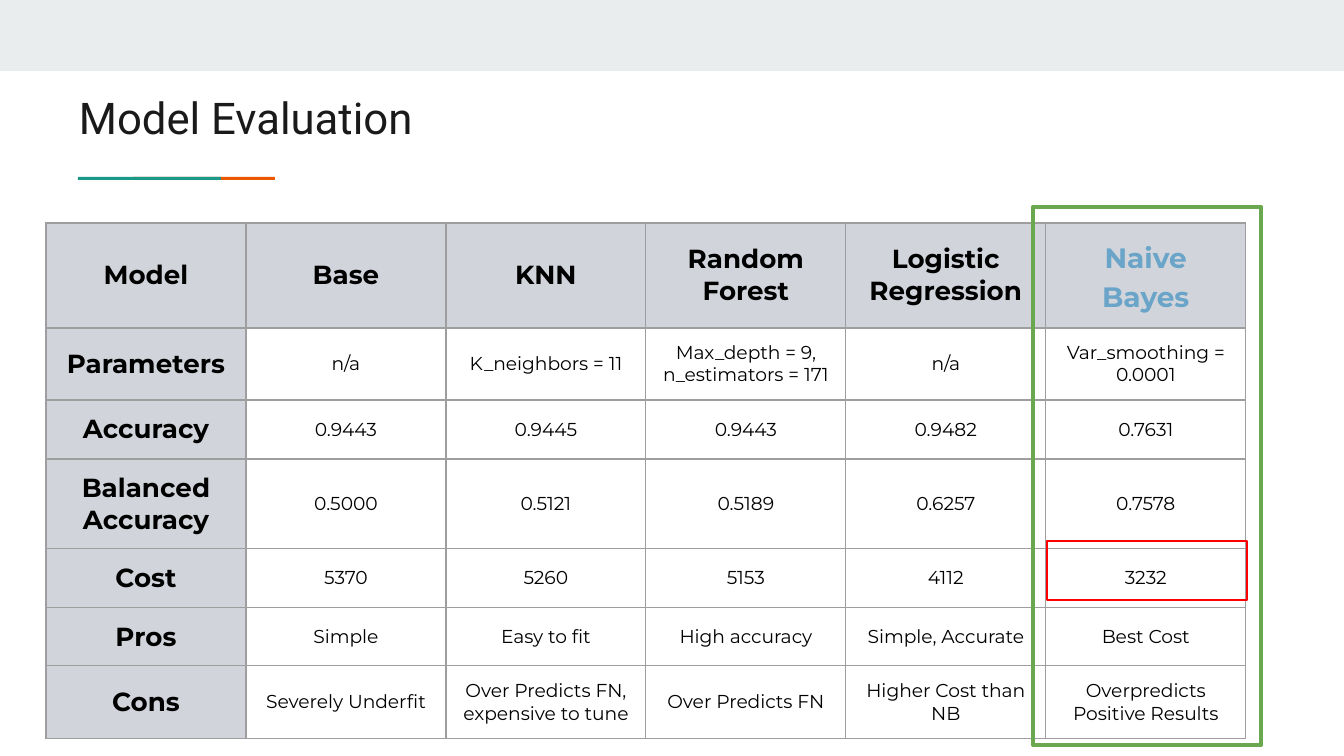
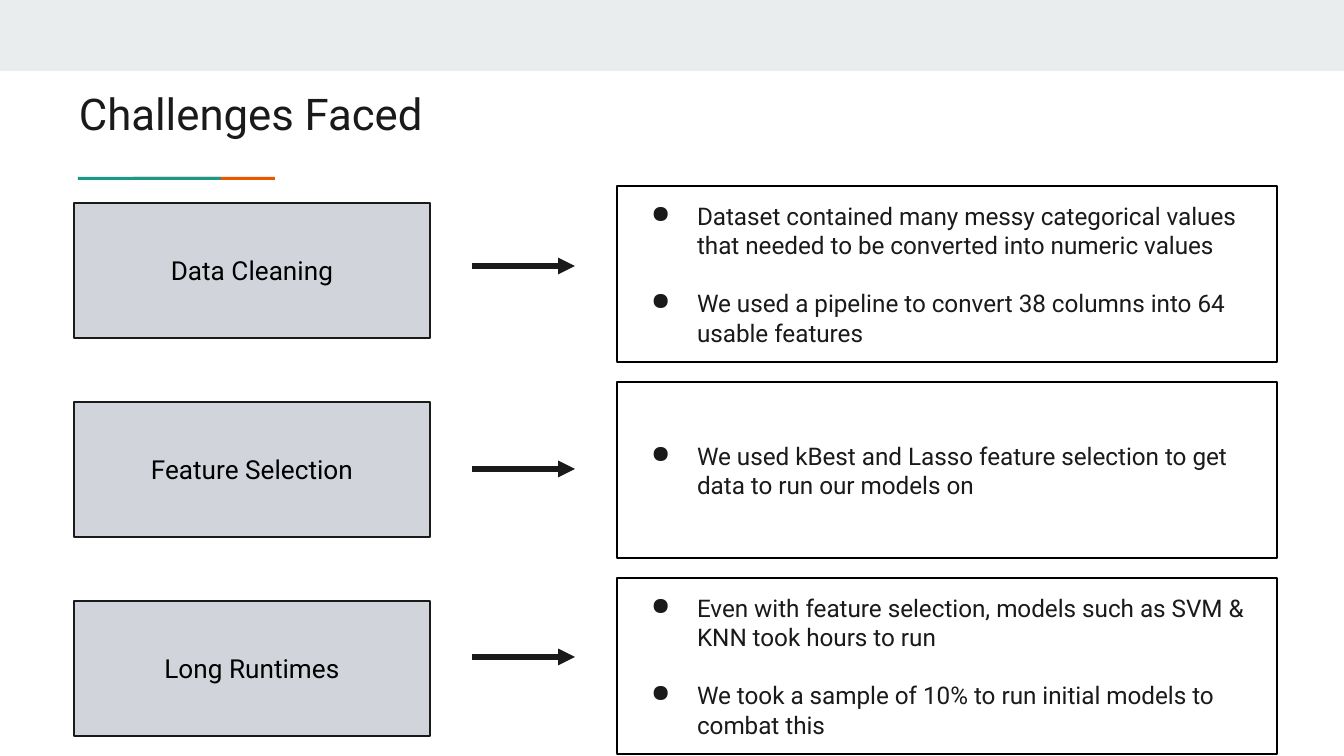
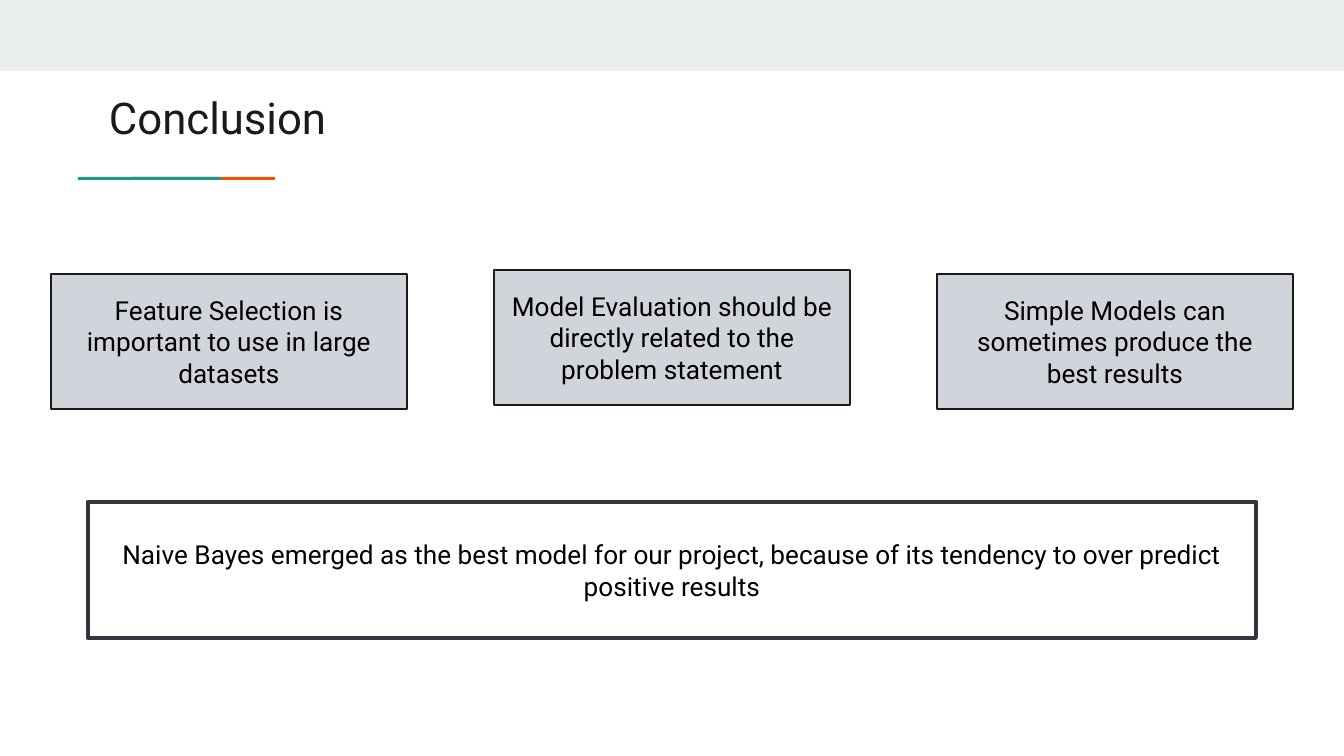
from collections import namedtuple
from dataclasses import dataclass
from itertools import accumulate

from lxml.etree import SubElement as Sub
from pptx import Presentation
from pptx.dml.color import RGBColor as Rgb
from pptx.enum.shapes import MSO_CONNECTOR as Link, MSO_SHAPE as Kind
from pptx.enum.text import MSO_ANCHOR as Anchor, PP_ALIGN as Align
from pptx.oxml.ns import qn
from pptx.util import Emu, Pt

Box = namedtuple("Box", "x y w h")


@dataclass(frozen=True)
class Theme:
    band: str = "E9EDEE"
    teal: str = "1A9988"
    orange: str = "EB5600"
    ink: str = "1A1A1A"
    black: str = "000000"
    navy: str = "343541"
    card: str = "D1D5DB"
    grid: str = "9E9E9E"
    blue: str = "6AA4C8"
    green: str = "6AA84F"
    red: str = "FF0000"
    sans: str = "Roboto"
    data: str = "Montserrat"
    title: float = 23.4
    pick: float = 15
    label: float = 14
    body: float = 13
    small: float = 10
    gap: float = 15.7
    hair: float = 0.75
    thin: float = 1.5
    bold: float = 2.25
    arrow: float = 3


T = Theme()
PAGE = Box(0, 0, 1344, 756)
PAD = 13

MODELS = [
    ["Model", "Base", "KNN", "Random Forest", "Logistic Regression", "Naive Bayes"],
    ["Parameters", "n/a", "K_neighbors = 11", "Max_depth = 9, n_estimators = 171",
     "n/a", "Var_smoothing = 0.0001"],
    ["Accuracy", "0.9443", "0.9445", "0.9443", "0.9482", "0.7631"],
    ["Balanced Accuracy", "0.5000", "0.5121", "0.5189", "0.6257", "0.7578"],
    ["Cost", "5370", "5260", "5153", "4112", "3232"],
    ["Pros", "Simple", "Easy to fit", "High accuracy", "Simple, Accurate", "Best Cost"],
    ["Cons", "Severely Underfit", "Over Predicts FN, expensive to tune",
     "Over Predicts FN", "Higher Cost than NB", "Overpredicts Positive Results"],
]
ROWS = [105, 72, 59, 90, 59, 58, 73]
COST = 4

ISSUES = [
    ("Data Cleaning", 80, [
        "Dataset contained many messy categorical values that needed to be "
        "converted into numeric values",
        "We used a pipeline to convert 38 columns into 64 usable features"]),
    ("Feature Selection", 283, [
        "We used kBest and Lasso feature selection to get data to run our models on"]),
    ("Long Runtimes", 471, [
        "Even with feature selection, models such as SVM & KNN took hours to run",
        "We took a sample of 10% to run initial models to combat this"]),
]

LESSONS = [
    ("Feature Selection is important to use in large datasets", 4),
    ("Model Evaluation should be directly related to the problem statement", 0),
    ("Simple Models can sometimes produce the best results", 4),
]
RESULT = ("Naive Bayes emerged as the best model for our project, because of its "
          "tendency to over predict positive results")


def px(n):
    return Emu(round(n * 914400 / 134.4))


def place(box):
    return [px(n) for n in box]


def write(frame, texts, size, color, face=T.sans, bold=False, align=Align.CENTER,
          dots=False):
    frame.word_wrap = True
    for i, text in enumerate(texts):
        para = frame.add_paragraph() if i else frame.paragraphs[0]
        run = para.add_run()
        run.text = text
        para.alignment = align
        if dots:
            add_dot(para, color)
        if i:
            para.space_before = Pt(T.gap)
        for font in (para.font, run.font):
            font.name = face
            font.size = Pt(size)
            font.bold = bold
            font.color.rgb = Rgb.from_string(color)


def add_dot(para, color):
    props = para._p.get_or_add_pPr()
    props.set("marL", str(px(67)))
    props.set("indent", str(px(-46)))
    Sub(Sub(props, qn("a:buClr")), qn("a:srgbClr")).set("val", color)
    Sub(props, qn("a:buChar")).set("char", "●")


def inset(item):
    item.margin_left = item.margin_right = px(PAD)
    item.margin_top = item.margin_bottom = px(PAD)


def add_rect(slide, box, fill=None, line=None, width=T.hair):
    rect = slide.shapes.add_shape(Kind.RECTANGLE, *place(box))
    rect.shadow.inherit = False
    if fill:
        rect.fill.solid()
        rect.fill.fore_color.rgb = Rgb.from_string(fill)
    else:
        rect.fill.background()
    if line:
        rect.line.color.rgb = Rgb.from_string(line)
        rect.line.width = Pt(width)
    else:
        rect.line.fill.background()
    return rect


def add_card(slide, box, texts, fill=T.card, line=T.ink, width=T.hair,
             size=T.label, color=T.black, **style):
    frame = add_rect(slide, box, fill, line, width).text_frame
    inset(frame)
    frame.vertical_anchor = Anchor.MIDDLE
    write(frame, texts, size, color, **style)


def add_arrow(slide, x, y, w):
    link = slide.shapes.add_connector(
        Link.STRAIGHT, px(x), px(y), px(x + w), px(y))
    link.line.color.rgb = Rgb.from_string(T.ink)
    link.line.width = Pt(T.arrow)
    props = link._element.spPr
    Sub(props.find(qn("a:ln")), qn("a:tailEnd")).set("type", "triangle")
    Sub(props, qn("a:effectLst"))


def start(deck, title, box):
    slide = deck.slides.add_slide(deck.slide_layouts[6])
    add_rect(slide, Box(0, 0, PAGE.w, 71), T.band)
    add_rect(slide, Box(133, 177, 142, 3), T.orange)
    add_rect(slide, Box(78, 177, 143, 3), T.teal)
    frame = slide.shapes.add_textbox(*place(box)).text_frame
    inset(frame)
    write(frame, [title], T.title, T.ink, align=Align.LEFT)
    return slide


def add_edges(cell):
    props = cell._tc.get_or_add_tcPr()
    for side in ("lnL", "lnR", "lnT", "lnB"):
        edge = Sub(props, qn(f"a:{side}"))
        edge.set("w", str(Pt(T.hair)))
        Sub(Sub(edge, qn("a:solidFill")), qn("a:srgbClr")).set("val", T.grid)


def fill_cell(cell, text, head, pick):
    inset(cell)
    cell.vertical_anchor = Anchor.MIDDLE
    add_edges(cell)
    if head:
        cell.fill.solid()
        cell.fill.fore_color.rgb = Rgb.from_string(T.card)
    else:
        cell.fill.background()
    size = T.pick if pick else T.label if head else T.small
    write(cell.text_frame, [text], size, T.blue if pick else T.black, T.data, head)
    if pick:
        para = cell.text_frame.paragraphs[0]
        para.line_spacing = 1.15
        para.space_before = para.space_after = Pt(7)


def add_grid(slide, box):
    last = len(MODELS[0]) - 1
    table = slide.shapes.add_table(len(MODELS), last + 1, *place(box)).table
    table.first_row = table.horz_banding = False
    wide = box.w // (last + 1)
    for col in table.columns:
        col.width = px(wide)
    for r, (texts, high) in enumerate(zip(MODELS, ROWS)):
        table.rows[r].height = px(high)
        for c, text in enumerate(texts):
            fill_cell(table.cell(r, c), text, r == 0 or c == 0, r == 0 and c == last)
    left = box.x + last * wide
    tops = list(accumulate(ROWS, initial=box.y))
    add_rect(slide, Box(left - 13, box.y - 16, wide + 28, box.h + 22),
             line=T.green, width=T.bold)
    add_rect(slide, Box(left + 1, tops[COST] - 8, wide, ROWS[COST]),
             line=T.red, width=T.thin)


def add_issues(slide, box):
    for i, (name, mid, notes) in enumerate(ISSUES):
        add_card(slide, Box(box.x, box.y + 17 + 199 * i, 356, 135), [name])
        add_card(slide, Box(box.x + 543, box.y + 196 * i, box.w - 543, 176), notes,
                 fill=None, line=T.black, size=T.body, color=T.ink,
                 align=Align.LEFT, dots=True)
        add_arrow(slide, box.x + 398, box.y + mid, 103)


def add_lessons(slide, box):
    wide = 356
    step = (box.w - wide) // (len(LESSONS) - 1)
    for i, (text, drop) in enumerate(LESSONS):
        add_card(slide, Box(box.x + step * i, box.y + drop, wide, 135), [text])
    add_card(slide, Box(box.x + 37, box.y + 232, box.w - 74, 136), [RESULT],
             fill=None, line=T.navy, width=T.bold)


def main():
    deck = Presentation()
    deck.slide_width, deck.slide_height = px(PAGE.w), px(PAGE.h)
    add_grid(start(deck, "Model Evaluation", Box(66, 78, 567, 85)),
             Box(46, 223, 1200, sum(ROWS)))
    add_issues(start(deck, "Challenges Faced", Box(66, 74, 1130, 79)),
               Box(74, 186, 1203, 568))
    add_lessons(start(deck, "Conclusion", Box(96, 78, 1130, 79)),
                Box(51, 270, 1242, 368))
    deck.save("out.pptx")


if __name__ == "__main__":
    main()
